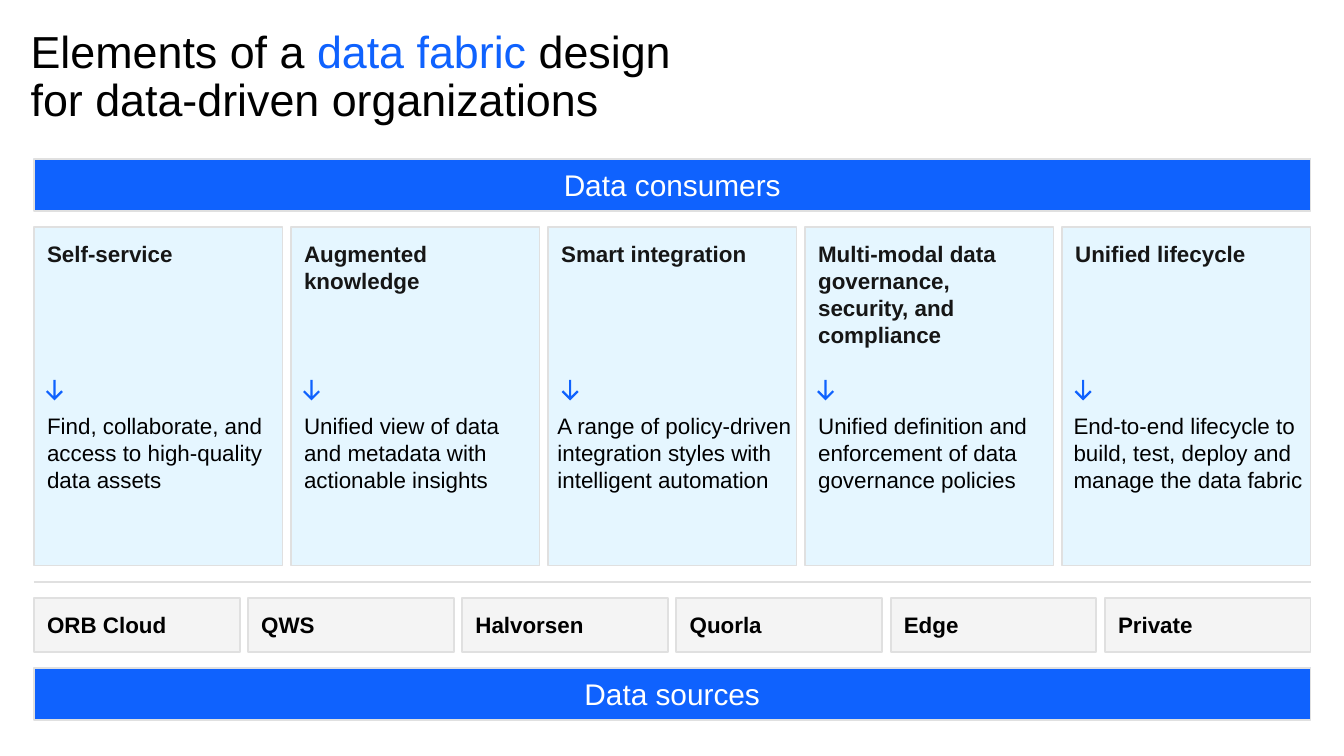
import pptx
import pptx.dml.color
import pptx.enum.shapes
import pptx.enum.text
import pptx.util
from dataclasses import dataclass
from lxml import etree

Cm = pptx.util.Cm
Pt = pptx.util.Pt
RGBColor = pptx.dml.color.RGBColor
PP_ALIGN = pptx.enum.text.PP_ALIGN
MSO_ANCHOR = pptx.enum.text.MSO_ANCHOR

BLUE = RGBColor(0x0F, 0x62, 0xFE)
PALE_BLUE = RGBColor(0xE5, 0xF6, 0xFF)
PALE_GRAY = RGBColor(0xF4, 0xF4, 0xF4)
BORDER = RGBColor(0xE0, 0xE0, 0xE0)
INK = RGBColor(0x16, 0x16, 0x16)
BLACK = RGBColor(0, 0, 0)
WHITE = RGBColor(0xFF, 0xFF, 0xFF)

# Layout, in centimetres
LEFT, WIDTH = 0.64, 24.13
PILLAR_WIDTH, SOURCE_WIDTH = 4.7, 3.89
INSET = 0.25

# Down arrow outline, in hundredths of a centimetre
ARROW = [(29, 20), (18, 31), (18, 0), (14, 0), (14, 31),
         (3, 20), (0, 23), (16, 39), (32, 23)]


@dataclass
class Pillar:
    heading: str
    description: str
    arrow_offset: float = 0.23
    text_offset: float = 0
    text_width: float = PILLAR_WIDTH


PILLARS = [
    Pillar("Self-service",
           "Find, collaborate, and access to high-quality data assets"),
    Pillar("Augmented knowledge",
           "Unified view of data and metadata with actionable insights"),
    Pillar("Smart integration",
           "A range of policy-driven integration styles with intelligent automation",
           0.26, -0.07, 4.93),
    Pillar("Multi-modal data governance, security, and compliance",
           "Unified definition and enforcement of data governance policies"),
    Pillar("Unified lifecycle",
           "End-to-end lifecycle to build, test, deploy and manage the data fabric",
           0.24, -0.03, 4.93),
]
SOURCES = ["ORB Cloud", "QWS", "Halvorsen", "Quorla", "Edge", "Private"]


def spread(count, item_width):
    """Left edges of equal items that fill the content width."""
    pitch = (WIDTH - item_width) / (count - 1)
    return [LEFT + i * pitch for i in range(count)]


def write(shape, text, size, color, bold=False, align=PP_ALIGN.LEFT,
          anchor=MSO_ANCHOR.TOP):
    frame = shape.text_frame
    frame.word_wrap = True
    frame.vertical_anchor = anchor
    frame.margin_left = frame.margin_right = Cm(INSET)
    frame.margin_top = frame.margin_bottom = Cm(INSET)
    paragraph = frame.paragraphs[0]
    paragraph.text = text
    paragraph.alignment = align
    paragraph.font.name = "Arial"
    paragraph.font.size = Pt(size)
    paragraph.font.bold = bold
    paragraph.font.color.rgb = color


def add_box(slide, left, top, width, height, fill):
    box = slide.shapes.add_shape(pptx.enum.shapes.MSO_SHAPE.RECTANGLE,
                                 Cm(left), Cm(top), Cm(width), Cm(height))
    box.shadow.inherit = False
    box.fill.solid()
    box.fill.fore_color.rgb = fill
    box.line.color.rgb = BORDER
    box.line.width = Pt(1)
    return box


def add_banner(slide, top, text):
    banner = add_box(slide, LEFT, top, WIDTH, 0.99, BLUE)
    write(banner, text, 16, WHITE, align=PP_ALIGN.CENTER,
          anchor=MSO_ANCHOR.MIDDLE)


def add_title(slide):
    title = slide.shapes.add_textbox(Cm(0.58), Cm(0.56), Cm(12.75), Cm(2.24))
    frame = title.text_frame
    frame.word_wrap = True
    frame.margin_left = frame.margin_right = 0
    frame.margin_top = frame.margin_bottom = 0
    paragraph = frame.paragraphs[0]
    paragraph.line_spacing = 0.9
    paragraph.font.name = "Arial"
    paragraph.font.size = Pt(24)
    for text, color in [("Elements of a ", BLACK), ("data fabric ", BLUE),
                        ("design for data-driven organizations", BLACK)]:
        run = paragraph.add_run()
        run.text = text
        run.font.color.rgb = color


def add_arrow(slide, left, top):
    builder = slide.shapes.build_freeform(*ARROW[0], scale=Cm(1) / 100)
    builder.add_line_segments(ARROW[1:], close=True)
    arrow = builder.convert_to_shape(Cm(left), Cm(top))
    arrow.shadow.inherit = False
    arrow.fill.solid()
    arrow.fill.fore_color.rgb = BLUE
    arrow.line.fill.background()


def add_pillar(slide, left, pillar):
    card = add_box(slide, left, 4.29, PILLAR_WIDTH, 6.4, PALE_BLUE)
    write(card, pillar.heading, 12, INK, bold=True)
    description = slide.shapes.add_textbox(
        Cm(left + pillar.text_offset), Cm(7.54), Cm(pillar.text_width), Cm(2.36))
    write(description, pillar.description, 12, BLACK)
    add_arrow(slide, left + pillar.arrow_offset, 7.18)


def add_divider(slide, top):
    divider = slide.shapes.add_connector(
        pptx.enum.shapes.MSO_CONNECTOR.STRAIGHT,
        Cm(LEFT), Cm(top), Cm(LEFT + WIDTH), Cm(top))
    divider.line.color.rgb = BORDER
    divider.line.width = Pt(1)
    etree.SubElement(divider.element.spPr,
                     pptx.oxml.ns.qn("a:effectLst"))


def main():
    deck = pptx.Presentation()
    deck.slide_width, deck.slide_height = Cm(25.4), Cm(14.29)
    slide = deck.slides.add_slide(deck.slide_layouts[6])

    # Title and consumers
    add_title(slide)
    add_banner(slide, 3.0, "Data consumers")

    # Five elements of the design
    for left, pillar in zip(spread(len(PILLARS), PILLAR_WIDTH), PILLARS):
        add_pillar(slide, left, pillar)

    # Sources
    add_divider(slide, 11.0)
    for left, name in zip(spread(len(SOURCES), SOURCE_WIDTH), SOURCES):
        source = add_box(slide, left, 11.3, SOURCE_WIDTH, 1.02, PALE_GRAY)
        write(source, name, 12, BLACK, bold=True, anchor=MSO_ANCHOR.MIDDLE)
    add_banner(slide, 12.62, "Data sources")

    deck.save("out.pptx")


if __name__ == "__main__":
    main()
